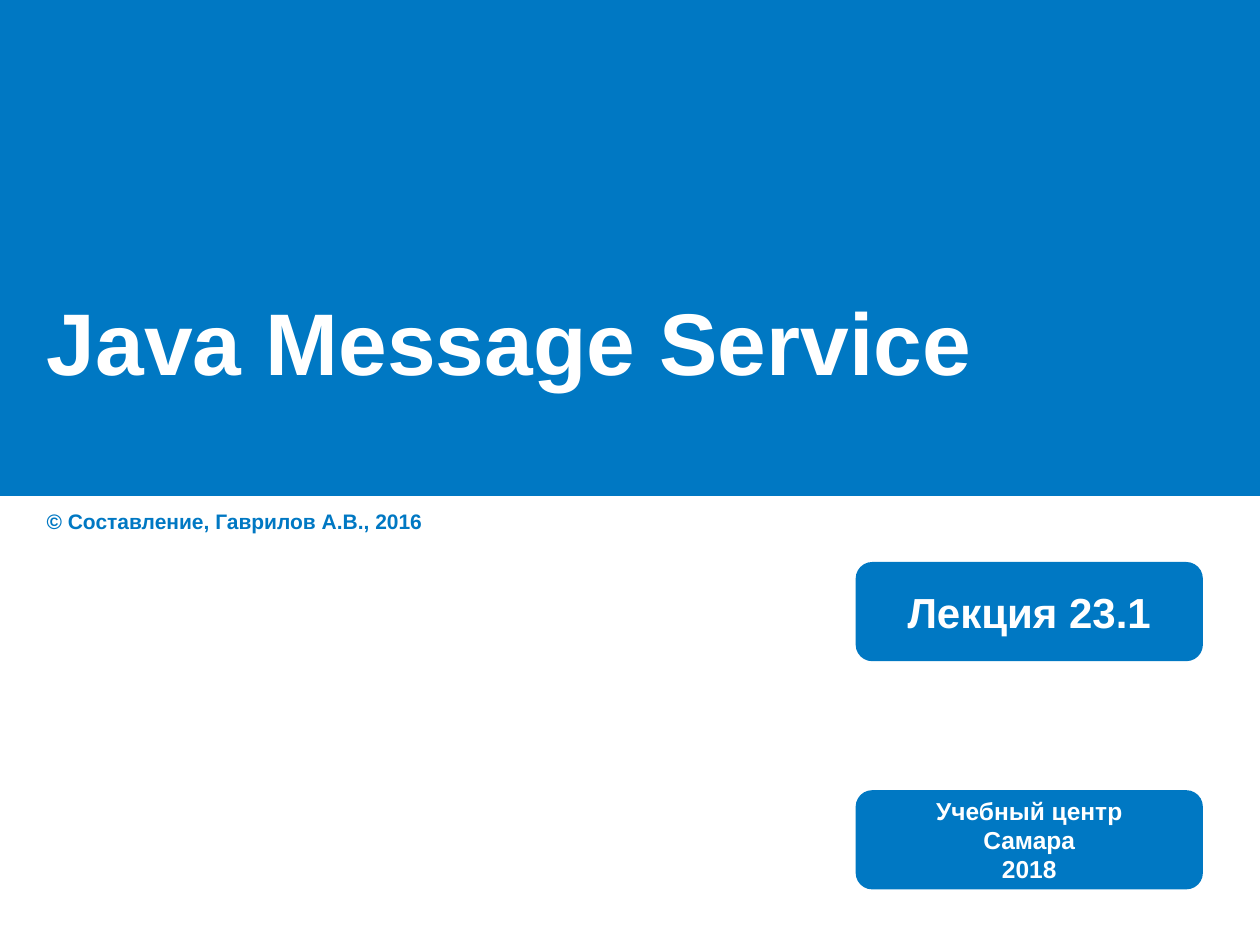
from dataclasses import dataclass

from pptx import Presentation
from pptx import util as u
from pptx.dml.color import RGBColor
from pptx.enum import shapes, text


@dataclass(frozen=True)
class Theme:
    font: str = "Arial"
    blue: RGBColor = RGBColor(0x00, 0x78, 0xC3)
    white: RGBColor = RGBColor(0xFF, 0xFF, 0xFF)
    title: int = 50
    lecture: int = 24
    school: int = 14
    credit: int = 12


theme = Theme()


def write(shape, lines, size, color, align):
    frame = shape.text_frame
    frame.text = lines
    for para in frame.paragraphs:
        para.alignment = align
        for span in para.runs:
            span.font.name = theme.font
            span.font.size = u.Pt(size)
            span.font.bold = True
            span.font.color.rgb = color


def add_blue_shape(kind, left, top, width, height):
    shape = page.shapes.add_shape(kind, u.Cm(left), u.Cm(top), u.Cm(width), u.Cm(height))
    shape.shadow.inherit = False
    shape.fill.solid()
    shape.fill.fore_color.rgb = theme.blue
    shape.line.fill.background()
    return shape


deck = Presentation()
deck.slide_width, deck.slide_height = u.Cm(25.4), u.Cm(19.05)
page = deck.slides.add_slide(deck.slide_layouts.get_by_name("Title Only"))

# Title on the blue band
title = page.shapes.title
title.left, title.top, title.width, title.height = u.Cm(0.69), u.Cm(3.78), u.Cm(24), u.Cm(6.15)
title.text_frame.vertical_anchor = text.MSO_ANCHOR.MIDDLE
write(title, "Java Message Service", theme.title, theme.white, text.PP_ALIGN.LEFT)

band = add_blue_shape(shapes.MSO_SHAPE.RECTANGLE, 0, 0, 25.4, 10)
title.element.addprevious(band.element)  # the band lies behind the title

# Credit line
credit = page.shapes.add_textbox(u.Cm(0.69), u.Cm(10.13), u.Cm(12.4), u.Cm(0.77))
credit.text_frame.word_wrap = True
credit.text_frame.auto_size = text.MSO_AUTO_SIZE.SHAPE_TO_FIT_TEXT
write(credit, "© Составление, Гаврилов А.В., 2016", theme.credit, theme.blue, text.PP_ALIGN.LEFT)

# Lecture and school boxes
for top, lines, size in [
    (11.33, "Лекция 23.1", theme.lecture),
    (15.93, "Учебный центр\nСамара\n2018", theme.school),
]:
    box = add_blue_shape(shapes.MSO_SHAPE.ROUNDED_RECTANGLE, 17.25, top, 7, 2)
    box.text_frame.word_wrap = False
    box.text_frame.vertical_anchor = text.MSO_ANCHOR.MIDDLE
    write(box, lines, size, theme.white, text.PP_ALIGN.CENTER)

deck.save("out.pptx")
